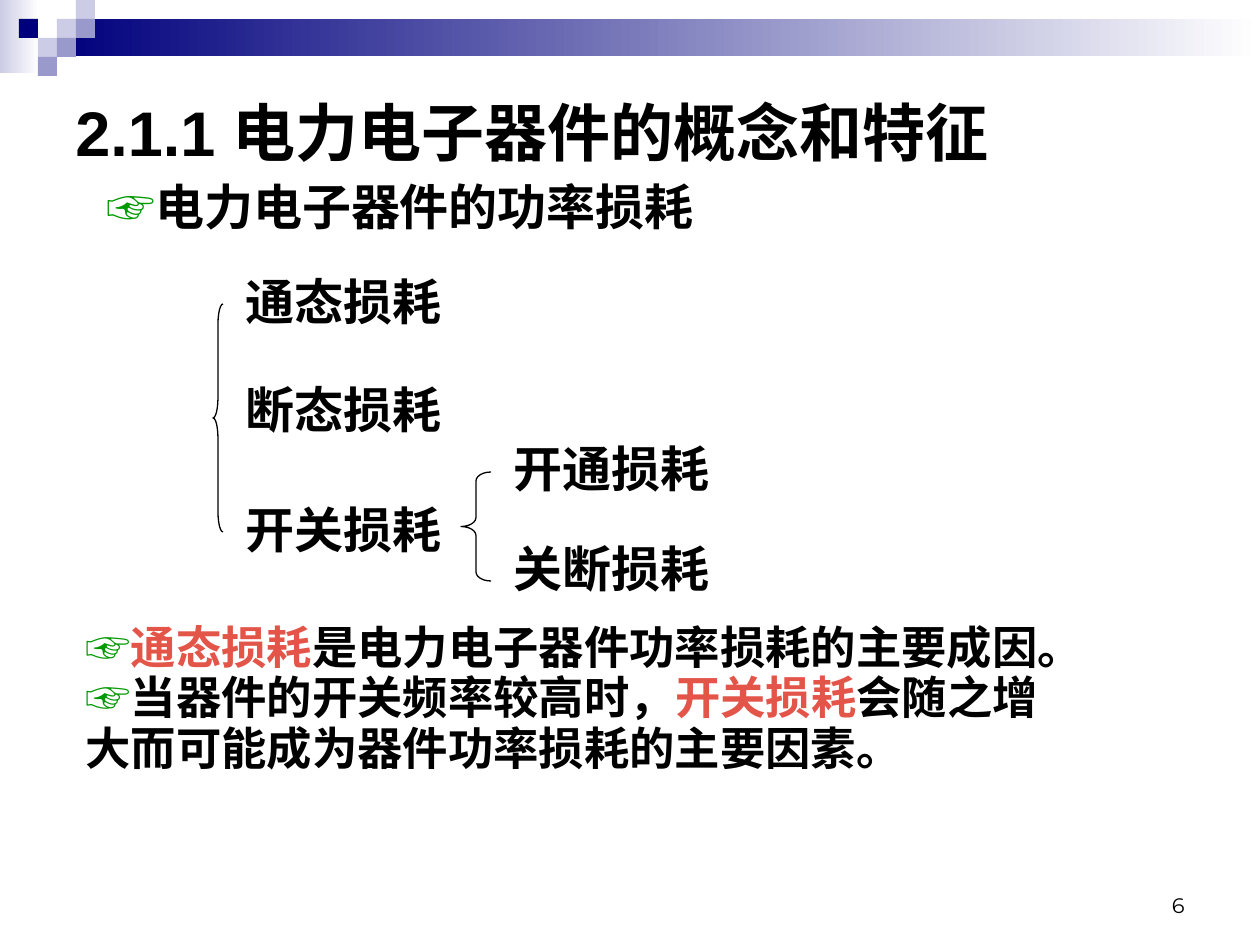
from pptx import Presentation
from pptx.dml.color import RGBColor
from pptx.enum.shapes import MSO_SHAPE as Shape
from pptx.enum.text import MSO_ANCHOR as Anchor, PP_ALIGN as Align
from pptx.util import Pt

EMU_PER_PX = 914400 / 126
CELL = 19
COLORS = {
    "black": "000000",
    "white": "FFFFFF",
    "navy": "00007D",
    "violet": "9999CC",
    "lavender": "CCCCE6",
    "green": "009900",
    "red": "E35449",
}
POINTER = ("☞", "green")


def px(*lengths):
    return [round(length * EMU_PER_PX) for length in lengths]


def color(name):
    return RGBColor.from_string(COLORS[name])


def add_block(page, at, *names):
    """Add a borderless rectangle; two colours make a left-to-right gradient."""
    block = page.shapes.add_shape(Shape.RECTANGLE, *px(*at))
    block.shadow.inherit = False
    block.line.fill.background()
    if len(names) == 1:
        block.fill.solid()
        block.fill.fore_color.rgb = color(names[0])
    else:
        block.fill.gradient()
        block.fill.gradient_angle = 0
        for stop, name in zip(block.fill.gradient_stops, names):
            stop.color.rgb = color(name)


def add_brace(page, at, curve):
    brace = page.shapes.add_shape(Shape.LEFT_BRACE, *px(*at))
    brace.shadow.inherit = False
    brace.fill.background()
    brace.line.color.rgb = color("black")
    brace.line.width = Pt(0.75)
    brace.adjustments[0] = curve


def add_text(page, at, paragraphs, size=28, font="Times New Roman", bold=True,
             align=Align.LEFT, anchor=Anchor.TOP, line_spacing=None, gap=0):
    """Add a text box; each paragraph is a list of (text, colour) spans."""
    box = page.shapes.add_textbox(*px(*at))
    frame = box.text_frame
    frame.word_wrap = True
    frame.vertical_anchor = anchor
    for index, spans in enumerate(paragraphs):
        para = frame.add_paragraph() if index else frame.paragraphs[0]
        para.alignment = align
        if line_spacing:
            para.line_spacing = line_spacing
        if index and gap:
            para.space_before = Pt(gap)
        for text, name in spans:
            span = para.add_run()
            span.text = text
            span.font.size = Pt(size)
            span.font.name = font
            span.font.bold = bold
            span.font.color.rgb = color(name)


def add_header(page):
    add_block(page, (0, 0, 39, 73), "lavender", "white")
    add_block(page, (57, 19, 1203, 37), "navy", "white")
    cells = [(3, 1, "lavender"), (4, 0, "lavender"), (4, 1, "violet"),
             (2, 2, "lavender"), (1, 1, "navy"), (3, 2, "violet"),
             (2, 3, "violet")]
    for column, row, name in cells:
        add_block(page, (column * CELL, row * CELL, CELL, CELL), name)


def add_loss_tree(page):
    add_brace(page, (213, 304, 10, 228), 2)
    add_brace(page, (461, 472, 30, 109), 0.3)
    labels = [(233, 265, "通态损耗"), (233, 373, "断态损耗"),
              (233, 493, "开关损耗"), (501, 432, "开通损耗"),
              (501, 532, "关断损耗")]
    for left, top, label in labels:
        add_text(page, (left, top, 238, 72), [[(label, "black")]])


def main():
    deck = Presentation()
    deck.slide_width, deck.slide_height = px(1260, 945)
    page = deck.slides.add_slide(deck.slide_layouts[6])

    add_header(page)
    add_text(page, (63, 80, 1134, 102),
             [[("2.1.1 电力电子器件的概念和特征", "black")]],
             size=36, font="Arial", anchor=Anchor.MIDDLE)
    add_text(page, (94, 170, 1091, 72),
             [[POINTER, ("电力电子器件的功率损耗", "black")]])
    add_loss_tree(page)

    conclusions = [
        [POINTER, ("通态损耗", "red"),
         ("是电力电子器件功率损耗的主要成因。", "black")],
        [POINTER, ("当器件的开关频率较高时，", "black"),
         ("开关损耗", "red"), ("会随之增", "black")],
        [("大而可能成为器件功率损耗的主要因素。", "black")],
    ]
    add_text(page, (73, 628, 1114, 165), conclusions, size=25.9, font="Arial",
             line_spacing=0.7, gap=7)
    add_text(page, (903, 861, 294, 63), [[("6", "black")]], size=12,
             font="Montserrat", bold=False, align=Align.RIGHT,
             anchor=Anchor.BOTTOM)
    deck.save("out.pptx")


if __name__ == "__main__":
    main()
